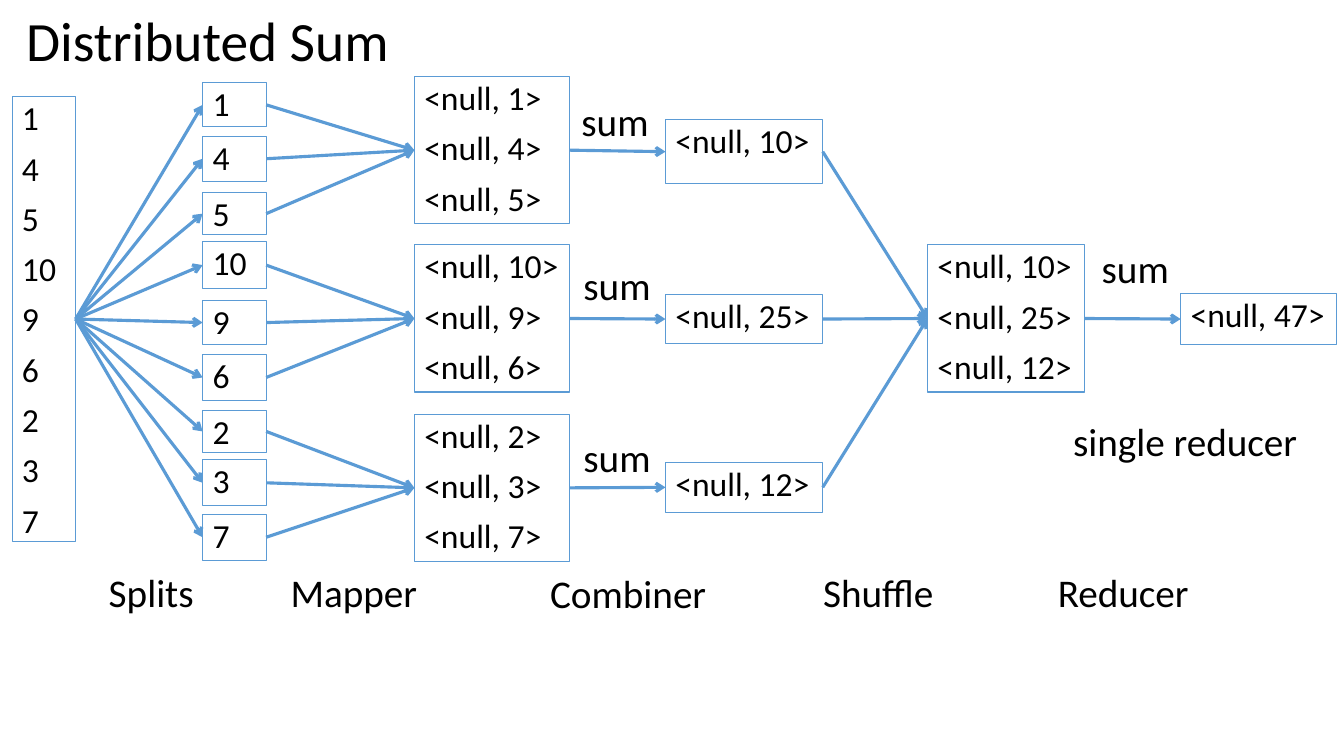
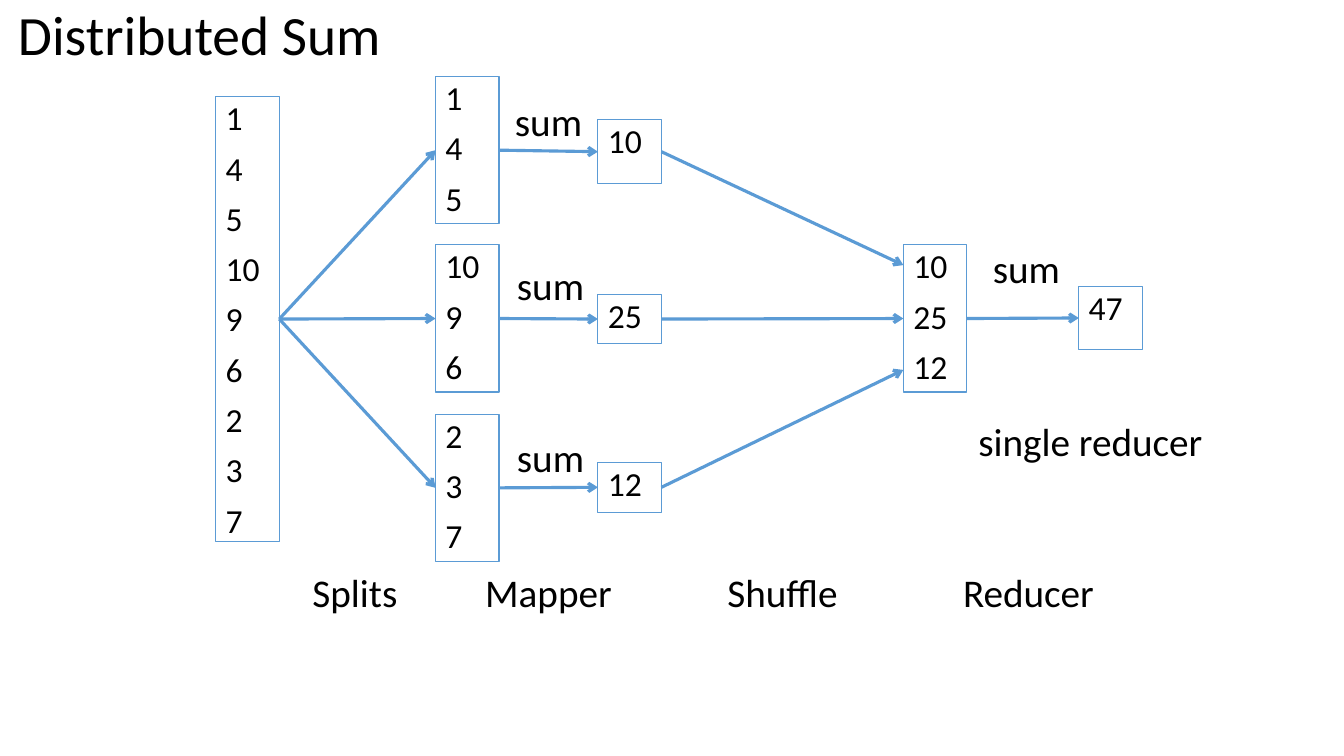
from lxml.etree import SubElement as Sub
from pptx import Presentation
from pptx.dml.color import RGBColor
from pptx.enum.shapes import MSO_CONNECTOR as Conn, MSO_SHAPE as Shape
from pptx.enum.text import MSO_ANCHOR as Anchor, PP_ALIGN as Align
from pptx.oxml.ns import qn
from pptx.util import Inches, Pt

BLUE = RGBColor(0x5B, 0x9B, 0xD5)
BLACK = RGBColor(0x00, 0x00, 0x00)
FONT = "Calibri"
LEFT, RIGHT = 1, 3

GROUPS = ((1, 4, 5), (10, 9, 6), (2, 3, 7))
NUMBERS = sum(GROUPS, ())
SUMS = [sum(group) for group in GROUPS]
GROUP_TOPS = (0.76, 2.43, 4.11)
GROUP_TALL = 1.46
SUM_ROWS = ((1.19, 0.63), (2.92, 0.49), (4.59, 0.49))
SPLIT_ROWS = ((0.82, 0.44), (1.35, 0.45), (1.91, 0.42),
              (2.4, 0.46), (2.98, 0.44), (3.52, 0.45),
              (4.07, 0.42), (4.56, 0.46), (5.1, 0.46))
THIN = 0.63


def pair(value):
    return f"<null, {value}>"


def write(frame, lines, size, spacing, before=10, align=Align.LEFT, anchor=Anchor.TOP):
    frame.word_wrap = True
    frame.vertical_anchor = anchor
    frame.text = "\n".join(lines)
    for para in frame.paragraphs:
        para.alignment = align
        para.line_spacing = spacing
        para.space_before = Pt(before)
        para.font.size = Pt(size)
        para.font.name = FONT
        para.font.color.rgb = BLACK


def add_text(slide, left, top, width, height):
    area = map(Inches, (left, top, width, height))
    return slide.shapes.add_textbox(*area).text_frame


def add_title(slide, left, top):
    frame = add_text(slide, left, top, 4.06, 0.65)
    write(frame, ["Distributed Sum"], 39.6, 0.9, before=0, anchor=Anchor.MIDDLE)


def add_label(slide, text, left, top, width):
    frame = add_text(slide, left, top, width, 0.51)
    write(frame, [text], 28, 0.8, align=Align.CENTER)


def add_box(slide, lines, left, top, width, height):
    area = map(Inches, (left, top, width, height))
    box = slide.shapes.add_shape(Shape.RECTANGLE, *area)
    box.shadow.inherit = False
    box.fill.background()
    box.line.color.rgb = BLUE
    box.line.width = Pt(0.75)
    write(box.text_frame, lines, 24, 0.9)
    return box


def add_arrow(slide, start, end, height=None):
    arrow = slide.shapes.add_connector(Conn.STRAIGHT, 0, 0, 0, 0)
    arrow.begin_connect(start, RIGHT)
    if height is None:
        arrow.end_connect(end, LEFT)
    else:
        arrow.end_x, arrow.end_y = end.left, Inches(height)
    arrow.line.color.rgb = BLUE
    arrow.line.width = Pt(2.25)
    props = arrow.element.spPr
    Sub(props.find(qn("a:ln")), qn("a:tailEnd"), type="arrow")
    Sub(props, qn("a:effectLst"))


def add_source(slide, left):
    return add_box(slide, map(str, NUMBERS), left, 0.96, THIN, 4.41)


def add_groups(slide, form, left, width):
    return [add_box(slide, map(form, group), left, top, width, GROUP_TALL)
            for group, top in zip(GROUPS, GROUP_TOPS)]


def add_sums(slide, form, groups, left, width, label):
    boxes = []
    places = ((label - 0.02, 1.01), (label, 2.63), (label, 4.34))
    for group, value, row, place in zip(groups, SUMS, SUM_ROWS, places):
        box = add_box(slide, [form(value)], left, row[0], width, row[1])
        add_arrow(slide, group, box)
        add_label(slide, "sum", *place, 0.94)
        boxes.append(box)
    return boxes


def add_reducer(slide, form, sums, left, width, heights):
    box = add_box(slide, map(form, SUMS), left, GROUP_TOPS[1], width, GROUP_TALL)
    for part, height in zip(sums, heights):
        add_arrow(slide, part, box, height)
    return box


def add_total(slide, form, reducer, area, label, note):
    box = add_box(slide, [form(sum(SUMS))], *area)
    add_arrow(slide, reducer, box)
    add_label(slide, "sum", label, 2.46, 0.94)
    add_label(slide, "single reducer", note, 4.18, 2.45)


def add_stages(slide, stages):
    for text, left, width in stages:
        add_label(slide, text, left, 5.68, width)


def add_splits(slide, source, groups):
    for index, (value, row) in enumerate(zip(NUMBERS, SPLIT_ROWS)):
        box = add_box(slide, [str(value)], 2.01, row[0], THIN, row[1])
        add_arrow(slide, source, box)
        add_arrow(slide, box, groups[index // 3])


def draw_pairs(slide):
    add_title(slide, 0.16, 0.11)
    source = add_source(slide, 0.12)
    groups = add_groups(slide, pair, 4.11, 1.54)
    add_splits(slide, source, groups)
    sums = add_sums(slide, pair, groups, 6.6, 1.56, 5.65)
    reducer = add_reducer(slide, pair, sums, 9.2, 1.56, (None,) * 3)
    add_total(slide, pair, reducer, (11.71, 2.91, 1.55, 0.51), 10.79, 10.53)
    add_stages(slide, (("Splits", 0.87, 1.26), ("Mapper", 2.7, 1.62),
                       ("Shuffle", 7.9, 1.62), ("Reducer", 10.33, 1.62)))
    add_label(slide, "Combiner", 5.32, 5.69, 1.82)


def draw_values(slide):
    add_title(slide, 0.08, 0.05)
    source = add_source(slide, 2.14)
    groups = add_groups(slide, str, 4.32, THIN)
    for group in groups:
        add_arrow(slide, source, group)
    sums = add_sums(slide, str, groups, 5.93, THIN, 4.99)
    reducer = add_reducer(slide, str, sums, 8.96, THIN, (2.63, None, 3.67))
    add_total(slide, str, reducer, (10.7, 2.84, THIN, THIN), 9.71, 9.59)
    add_stages(slide, (("Splits", 2.89, 1.26), ("Mapper", 4.63, 1.62),
                       ("Shuffle", 6.95, 1.62), ("Reducer", 9.39, 1.62)))


def main():
    deck = Presentation()
    deck.slide_width, deck.slide_height = Inches(13.33), Inches(7.5)
    for draw in (draw_pairs, draw_values):
        draw(deck.slides.add_slide(deck.slide_layouts[6]))
    deck.save("out.pptx")


if __name__ == "__main__":
    main()
